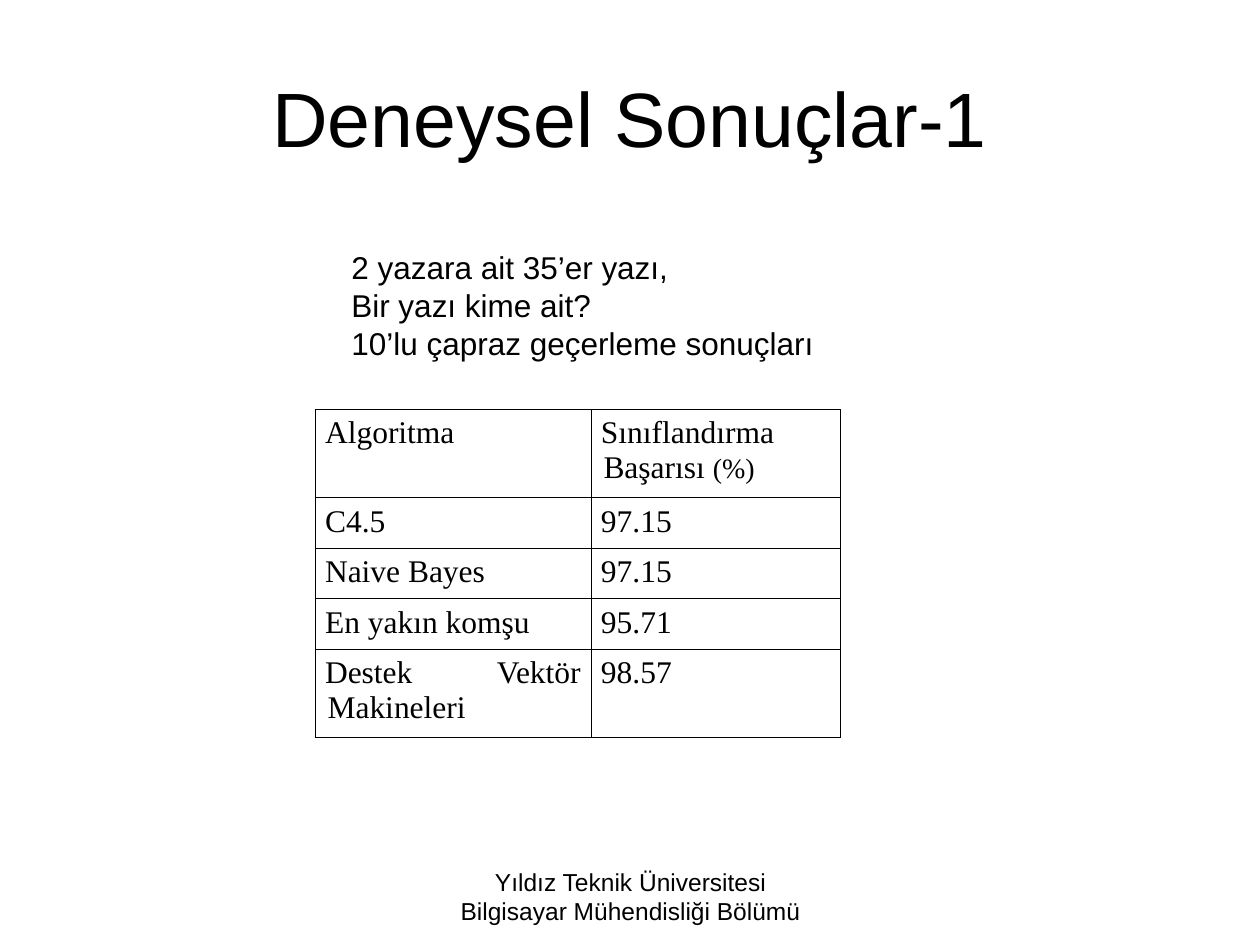
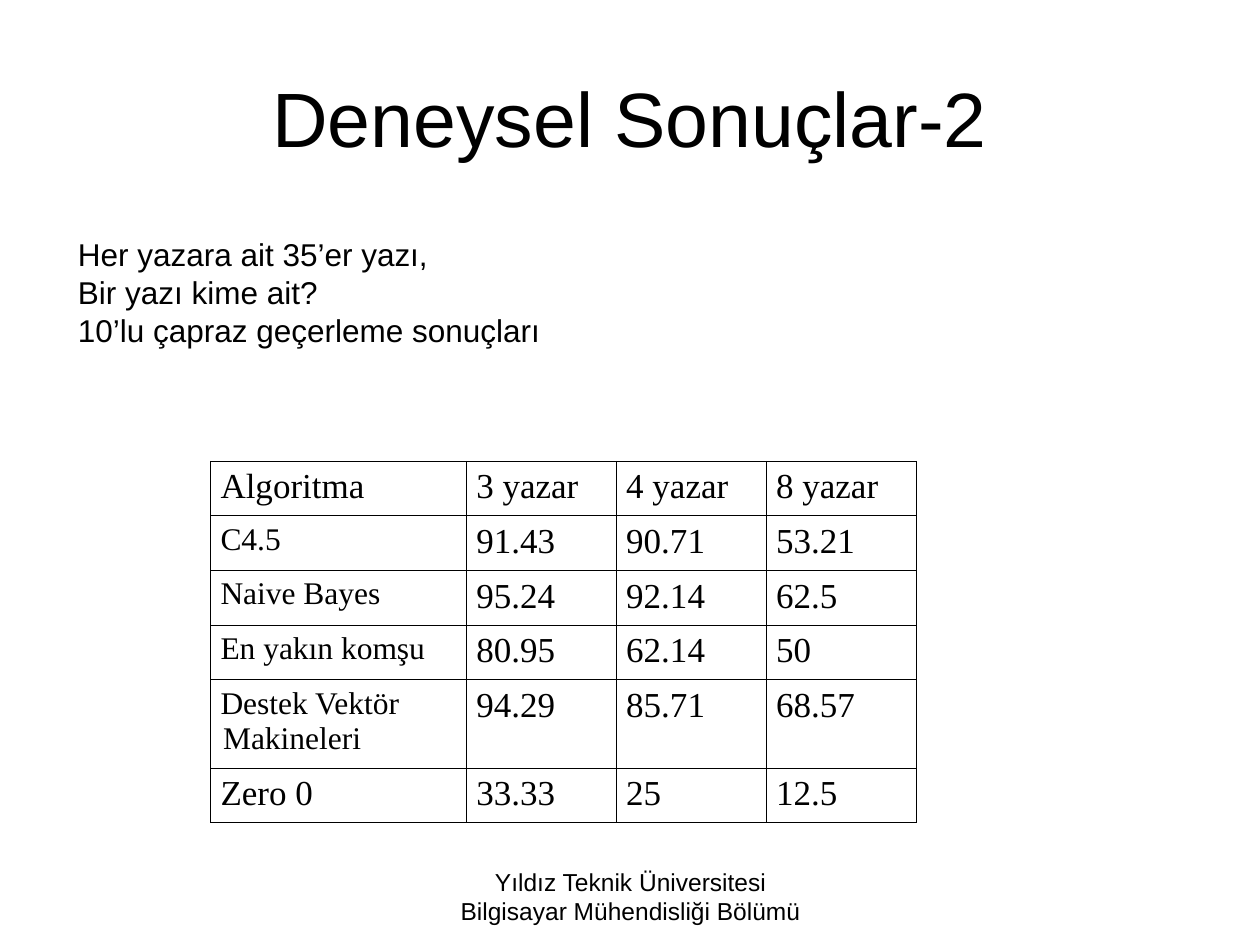
import lxml.etree
import pptx
import pptx.dml.color
import pptx.enum.text
import pptx.oxml.ns
import pptx.util

Inches = pptx.util.Inches
Pt = pptx.util.Pt
qn = pptx.oxml.ns.qn
ALIGN = pptx.enum.text.PP_ALIGN
ANCHOR = pptx.enum.text.MSO_ANCHOR
FIT = pptx.enum.text.MSO_AUTO_SIZE

INK = "000000"
SANS = "Arial"
SERIF = "Times New Roman"
FOOTER = ["Yıldız Teknik Üniversitesi", "Bilgisayar Mühendisliği Bölümü"]
TASK = ["Bir yazı kime ait?", "10’lu çapraz geçerleme sonuçları"]
SVM = "Destek Vektör Makineleri"


def put(frame, lines, size=18, font=SANS, color=INK, align=ALIGN.LEFT, hang=0):
    """Write lines as paragraphs; a line is a list of (text, size) runs or a string."""
    for i, line in enumerate(lines):
        para = frame.paragraphs[0] if i == 0 else frame.add_paragraph()
        para.alignment = align
        if hang:
            props = para._p.get_or_add_pPr()
            props.set("marL", str(Inches(hang)))
            props.set("indent", str(-Inches(hang)))
        for words, points in [(line, size)] if isinstance(line, str) else line:
            run = para.add_run()
            run.text = words
            run.font.size = Pt(points)
            run.font.name = font
            run.font.color.rgb = pptx.dml.color.RGBColor.from_string(color)


def box(slide, place, lines, wrap=True, **style):
    """Add a text box at place (left, top, width, height)."""
    shape = slide.shapes.add_textbox(*map(Inches, place))
    shape.text_frame.word_wrap = wrap
    put(shape.text_frame, lines, **style)
    return shape.text_frame


pages = [
    dict(
        title="Deneysel Sonuçlar-1",
        intro=["2 yazara ait 35’er yazı,"] + TASK,
        corner=(2.69, 1.92),
        table=(2.5, 3.25),
        cols=[2.19, 1.98],
        rows=[0.6, 0.3, 0.3, 0.3, 0.6],
        small=lambda r, c: True,
        left=[],
        cells=[
            ["Algoritma", [("Sınıflandırma Başarısı ", 18), ("(%)", 16)]],
            ["C4.5", "97.15"],
            ["Naive Bayes", "97.15"],
            ["En yakın komşu", "95.71"],
            [SVM, "98.57"],
        ],
    ),
    dict(
        title="Deneysel Sonuçlar-2",
        intro=["Her yazara ait 35’er yazı,"] + TASK,
        corner=(0.52, 1.82),
        table=(1.67, 3.66),
        cols=[2.03] + [1.19] * 3,
        rows=[0.33] * 4 + [0.6, 0.33],
        small=lambda r, c: c == 0 and 1 <= r <= 4,
        left=[SVM],
        cells=[
            ["Algoritma", "3 yazar", "4 yazar", "8 yazar"],
            ["C4.5", "91.43", "90.71", "53.21"],
            ["Naive Bayes", "95.24", "92.14", "62.5"],
            ["En yakın komşu", "80.95", "62.14", "50"],
            [SVM, "94.29", "85.71", "68.57"],
            ["Zero 0", "33.33", "25", "12.5"],
        ],
    ),
]

deck = pptx.Presentation()
deck.slide_width = Inches(10)
deck.slide_height = Inches(7.5)

for page in pages:
    slide = deck.slides.add_slide(deck.slide_layouts[6])
    title = box(slide, (0.5, 0.3, 9, 1.25), [page["title"]], size=44, align=ALIGN.CENTER)
    title.vertical_anchor = ANCHOR.MIDDLE

    cols, rows = page["cols"], page["rows"]
    place = (*page["table"], sum(cols), sum(rows))
    grid = slide.shapes.add_table(len(rows), len(cols), *map(Inches, place)).table
    grid.first_row = grid.horz_banding = False
    for col, width in zip(grid.columns, cols):
        col.width = Inches(width)
    for row, height in zip(grid.rows, rows):
        row.height = Inches(height)

    for r, line in enumerate(page["cells"]):
        for c, words in enumerate(line):
            cell = grid.cell(r, c)
            small = page["small"](r, c)
            put(cell.text_frame, [words], size=18 if small else 20, font=SERIF,
                align=ALIGN.LEFT if words in page["left"] else ALIGN.JUSTIFY,
                hang=0.02 if small else 0)
            cell.margin_left = cell.margin_right = Inches(0.08)
            cell.margin_top = cell.margin_bottom = Inches(0.05)
            props = cell._tc.get_or_add_tcPr()
            for side in ("lnL", "lnR", "lnT", "lnB"):
                edge = lxml.etree.SubElement(props, qn("a:" + side), w=str(Pt(0.45)))
                fill = lxml.etree.SubElement(edge, qn("a:solidFill"))
                lxml.etree.SubElement(fill, qn("a:srgbClr"), val=INK)
            cell.fill.background()

    box(slide, (3.42, 6.83, 3.17, 0.52), FOOTER, size=14, align=ALIGN.CENTER)
    intro = box(slide, (*page["corner"], 3.87, 1), page["intro"], wrap=False)
    intro.auto_size = FIT.SHAPE_TO_FIT_TEXT

deck.save("out.pptx")
